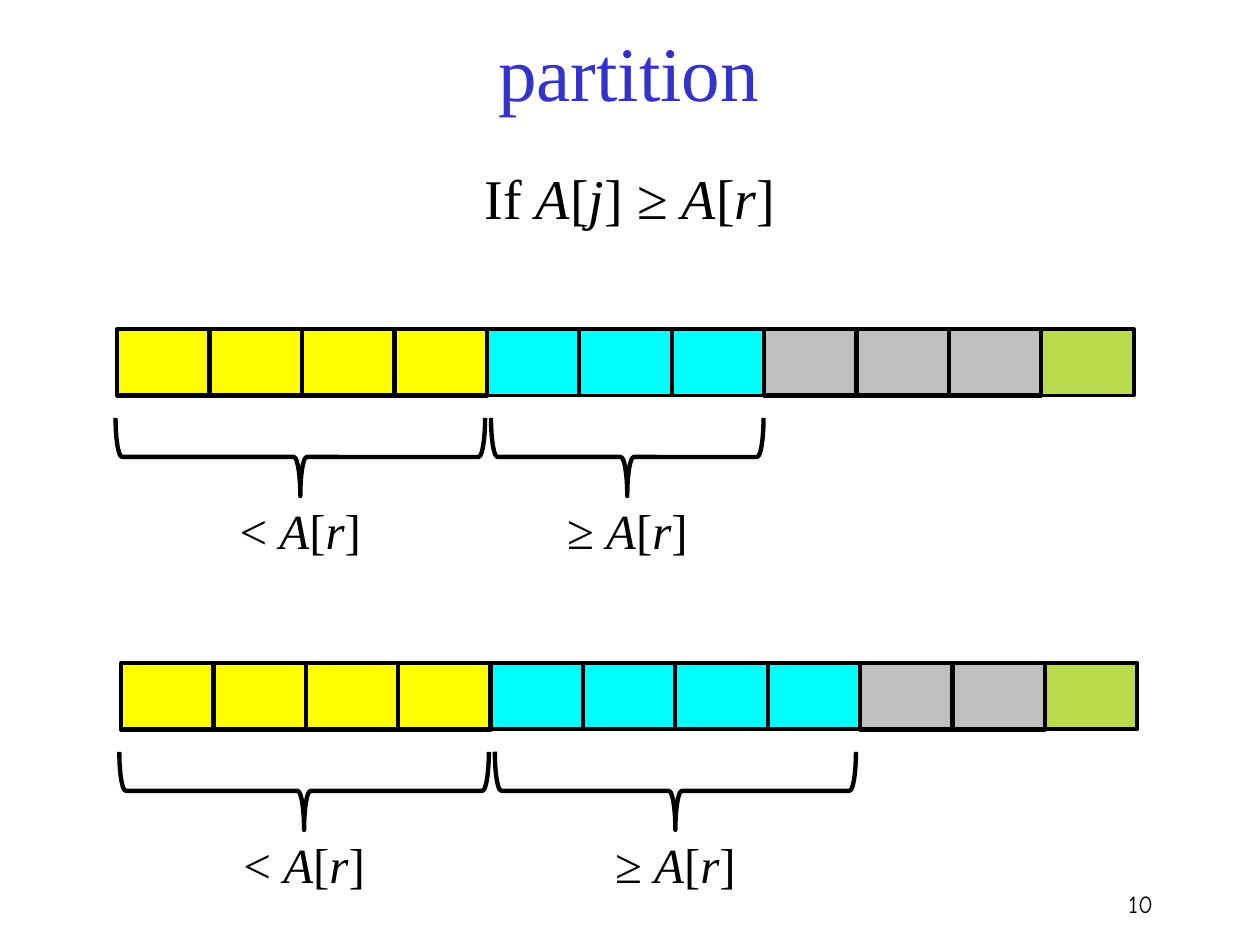
from lxml import etree
from pptx import Presentation
from pptx import util as u
from pptx.dml.color import RGBColor
from pptx.enum import shapes, text
from pptx.oxml.ns import qn

PX = 3048
COLORS = {
    "black": "000000",
    "title": "3333CC",
    "less": "FFFF00",
    "greater": "00FFFF",
    "unseen": "BFBFBF",
    "pivot": "99CC00",
}
CELL_WIDTH, CELL_HEIGHT = 220, 159
BRACE_HEIGHT = 186

presentation = Presentation()
presentation.slide_width = 3000 * PX
presentation.slide_height = 2250 * PX
slide = presentation.slides.add_slide(presentation.slide_layouts[5])


def write_text(content, *, left, top, width, height, size, shape=None, color="black",
               font="Times New Roman", align=text.PP_ALIGN.CENTER,
               anchor=text.MSO_ANCHOR.TOP):
    if shape is None:
        shape = slide.shapes.add_textbox(0, 0, 0, 0)
    shape.left, shape.top = left * PX, top * PX
    shape.width, shape.height = width * PX, height * PX
    frame = shape.text_frame
    frame.word_wrap = True
    frame.vertical_anchor = anchor
    paragraph = frame.paragraphs[0]
    paragraph.alignment = align
    for index, part in enumerate(content.split("*")):
        if part:
            run = paragraph.add_run()
            run.text = part
            run.font.name = font
            run.font.size = u.Pt(size)
            run.font.italic = index % 2 == 1
            run.font.color.rgb = RGBColor.from_string(COLORS[color])


def add_outlined(kind, left, top, width, height, weight):
    shape = slide.shapes.add_shape(kind, round(left * PX), round(top * PX), width * PX, height * PX)
    shape.shadow.inherit = False
    shape.line.color.rgb = RGBColor.from_string(COLORS["black"])
    shape.line.width = u.Pt(weight)
    return shape


write_text("partition", shape=slide.shapes.title, left=0, top=42, width=2994, height=252,
           size=44, color="title", anchor=text.MSO_ANCHOR.MIDDLE)
write_text("If *A*[*j*] ≥ *A*[*r*]", left=0, top=375, width=3000, height=192, size=32)
write_text("10", left=2151, top=2103, width=624, height=150, size=14,
           font="Comic Neue", align=text.PP_ALIGN.RIGHT)

arrays = [
    (279, 783, {"greater": 3, "pivot": 1, "less": 4, "unseen": 3}, 1),
    (288, 1578, {"less": 4, "greater": 4, "unseen": 2, "pivot": 1}, 10),
]
for array_left, array_top, counts, end_gap in arrays:
    groups = ["less", "greater", "unseen", "pivot"]
    cells = [group for group in groups for _ in range(counts[group])]
    for index, group in enumerate(cells):
        weight = 2.5 if group in ("less", "unseen") else 2.25
        cell = add_outlined(shapes.MSO_SHAPE.RECTANGLE, array_left + index * CELL_WIDTH,
                            array_top, CELL_WIDTH, CELL_HEIGHT, weight)
        cell.fill.solid()
        cell.fill.fore_color.rgb = RGBColor.from_string(COLORS[group])
        if group == "pivot":
            fill_color = cell.fill._xPr.find(qn("a:solidFill"))[0]
            etree.SubElement(fill_color, qn("a:alpha"), val="70000")

    split = array_left + counts["less"] * CELL_WIDTH
    greater_end = split + counts["greater"] * CELL_WIDTH
    spans = [
        ("< *A*[*r*]", array_left - 4, split - 4),
        ("≥ *A*[*r*]", split + 10, greater_end - end_gap),
    ]
    for label, start, end in spans:
        length = end - start
        brace = add_outlined(shapes.MSO_SHAPE.RIGHT_BRACE,
                             (start + end - BRACE_HEIGHT) / 2,
                             array_top + 305 - length / 2,
                             BRACE_HEIGHT, length, 2.5)
        brace.rotation = 90
        brace.fill.background()
        write_text(label, left=start, top=array_top + 394, width=length, height=171, size=28)

presentation.save("out.pptx")
